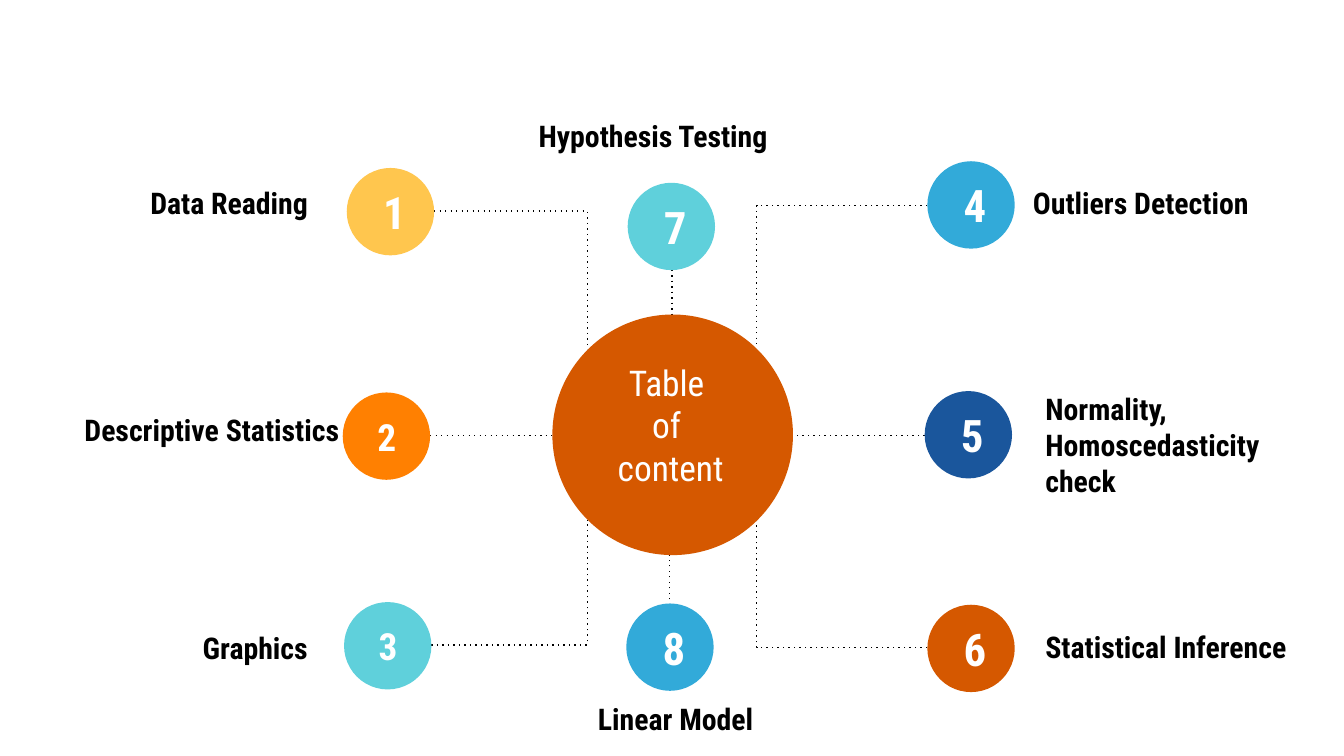
from lxml import etree
from pptx import Presentation
from pptx import util as u
from pptx.dml.color import RGBColor
from pptx.enum import dml, shapes, text
from pptx.oxml.ns import qn

FONT = "Roboto Condensed"
BLACK, WHITE, RUST = "000000", "FFFFFF", "D55800"
SLIDE_WIDTH = 10
SLIDE_HEIGHT = SLIDE_WIDTH * 9 / 16
NODE_SIZE = 0.65
INSET = 0.1

# Content: number, left, top, fill, number size
NODES = [
    (1, 2.58, 1.25, "FFC64E", 24),
    (2, 2.55, 2.92, "FF8001", 20),
    (3, 2.56, 4.48, "5FD0DB", 20),
    (4, 6.90, 1.20, "32AAD9", 24),
    (5, 6.88, 2.91, "1A569C", 24),
    (6, 6.90, 4.50, RUST, 24),
    (7, 4.67, 1.36, "5FD0DB", 24),
    (8, 4.66, 4.49, "32AAD9", 24),
]

# Label lines, box (left, top, width, height), alignment
LEFT, CENTER, RIGHT = text.PP_ALIGN.LEFT, text.PP_ALIGN.CENTER, text.PP_ALIGN.RIGHT
LABELS = [
    (["Data Reading"], (1.02, 1.38, 1.85, 0.25), LEFT),
    (["Descriptive Statistics"], (0.53, 2.87, 2.21, 0.65), LEFT),
    (["Graphics"], (1.41, 4.69, 1.85, 0.25), LEFT),
    (["Outliers Detection"], (7.56, 1.38, 1.83, 0.25), RIGHT),
    (["Normality,", "Homoscedasticity", "check"], (7.68, 2.94, 2.71, 0.74), LEFT),
    (["Statistical Inference"], (7.68, 4.56, 2.15, 0.5), LEFT),
    (["Hypothesis Testing"], (3.91, 0.76, 2.15, 0.5), LEFT),
    (["Linear Model"], (4.35, 5.1, 2.15, 0.5), LEFT),
]

HUB = (4.11, 2.34, 1.79, 1.79)
HUB_LINES = ["Table ", "of ", "content"]
HUB_TEXT_BOX = (4.2, 2.63, 1.58, 1.06)

# Connectors: node end, hub end; elbows leave the node horizontally
ELBOWS = [
    ((3.23, 1.57), (4.37, 2.6)),
    ((3.21, 4.8), (4.37, 3.87)),
    ((6.9, 1.53), (5.63, 2.6)),
    ((6.9, 4.82), (5.63, 3.87)),
]
STRAIGHTS = [
    ((3.2, 3.24), (4.11, 3.24)),
    ((6.88, 3.24), (5.89, 3.24)),
    ((5, 1.72), (5, 2.37)),
    ((4.98, 4.87), (4.98, 4.13)),
]


def color(value):
    return RGBColor.from_string(value)


def inches(values):
    return [u.Inches(value) for value in values]


def write(shape, lines, size, ink, bold, align=LEFT):
    frame = shape.text_frame
    margins = {f"margin_{side}": u.Inches(INSET)
               for side in ("left", "top", "right", "bottom")}
    settings = {"word_wrap": True, "vertical_anchor": text.MSO_ANCHOR.MIDDLE, **margins}
    for name, value in settings.items():
        setattr(frame, name, value)
    for index, line in enumerate(lines):
        paragraph = frame.paragraphs[0] if index == 0 else frame.add_paragraph()
        paragraph.alignment = align
        run = paragraph.add_run()
        run.text = line
        font = {"name": FONT, "size": u.Pt(size), "bold": bold}
        for name, value in font.items():
            setattr(run.font, name, value)
        run.font.color.rgb = color(ink)


def add_circle(slide, box, fill):
    shape = slide.shapes.add_shape(shapes.MSO_SHAPE.OVAL, *inches(box))
    shape.shadow.inherit = False
    shape.fill.solid()
    shape.fill.fore_color.rgb = color(fill)
    shape.line.fill.background()
    return shape


def add_link(slide, start, end, elbow=False):
    kind = shapes.MSO_CONNECTOR.ELBOW if elbow else shapes.MSO_CONNECTOR.STRAIGHT
    link = slide.shapes.add_connector(kind, *inches(start + end))
    properties = link._element.spPr
    if elbow:  # a single corner instead of two
        properties.find(qn("a:prstGeom")).set("prst", "bentConnector2")
    link.line.color.rgb = color(BLACK)
    link.line.width = u.Pt(0.75)
    link.line.dash_style = dml.MSO_LINE.ROUND_DOT
    properties.find(qn("a:ln")).find(qn("a:prstDash")).set("val", "dot")
    etree.SubElement(properties, qn("a:effectLst"))


def main():
    presentation = Presentation()
    presentation.slide_width = u.Inches(SLIDE_WIDTH)
    presentation.slide_height = u.Inches(SLIDE_HEIGHT)
    slide = presentation.slides.add_slide(presentation.slide_layouts[6])

    # Dotted links, behind the circles
    for start, end in ELBOWS:
        add_link(slide, start, end, elbow=True)
    for start, end in STRAIGHTS:
        add_link(slide, start, end)

    # Hub
    add_circle(slide, HUB, RUST)
    hub_text = slide.shapes.add_textbox(*inches(HUB_TEXT_BOX))
    write(hub_text, HUB_LINES, 19, WHITE, False, CENTER)

    # Numbered circles
    for number, left, top, fill, size in NODES:
        node = add_circle(slide, (left, top, NODE_SIZE, NODE_SIZE), fill)
        write(node, [f" {number}"], size, WHITE, True)

    # Labels
    for lines, box, align in LABELS:
        write(slide.shapes.add_textbox(*inches(box)), lines, 16, BLACK, True, align)

    presentation.save("out.pptx")


if __name__ == "__main__":
    main()
